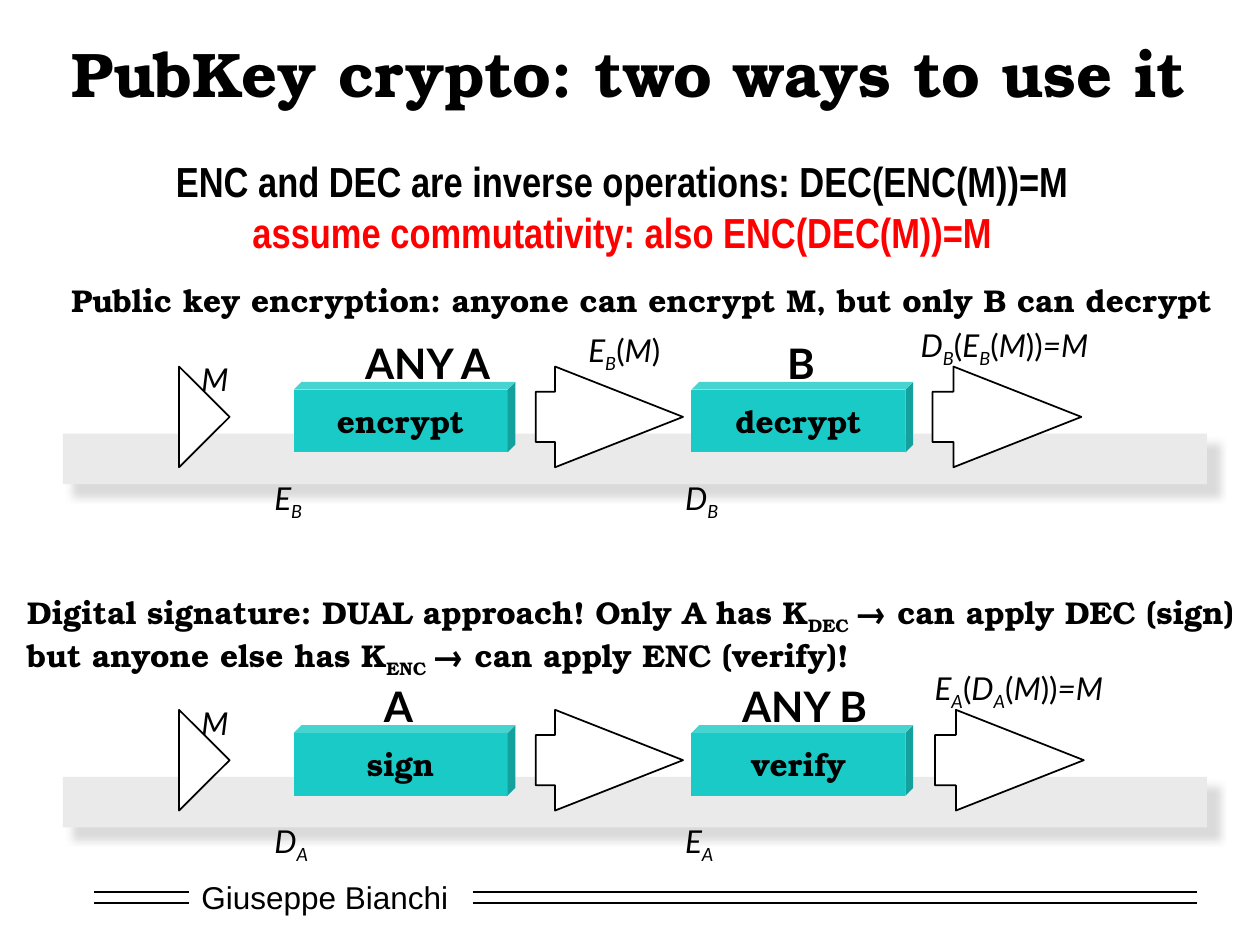
from itertools import groupby

from lxml import etree
from pptx import Presentation
from pptx.dml.color import RGBColor
from pptx.enum import shapes, text
from pptx.oxml import ns
from pptx.util import Cm, Pt

# Text between tildes is subscript.
TITLE = "PubKey crypto: two ways to use it"
SUBTITLE = [
    ("ENC and DEC are inverse operations: DEC(ENC(M))=M", "ink"),
    ("assume commutativity: also ENC(DEC(M))=M", "alert"),
]
AUTHOR = "Giuseppe Bianchi"

# Boxes are (left, top, width, height) in cm; labels are (text, left, width).
FLOWS = [
    {
        "heading": ["Public key encryption: anyone can encrypt M, but only B can decrypt"],
        "heading_box": (1.19, 5.54, 23.55, 1.02),
        "steps": ["encrypt", "decrypt"],
        "actors": [("ANY A", 7.11, 3.12), ("B", 15.62, 1.14)],
        "keys": ["E~B~", "D~B~"],
        "between": "E~B~(M)",
        "result": ("D~B~(E~B~(M))=M", 18.31, 4.27),
        "last_arrow": 18.8,
    },
    {
        "heading": [
            "Digital signature: DUAL approach! Only A has K~DEC ~→ can apply DEC (sign)",
            "but anyone else has K~ENC ~→ can apply ENC (verify)!",
        ],
        "heading_box": (0.3, 11.84, 25.55, 1.78),
        "steps": ["sign", "verify"],
        "actors": [("A", 7.49, 1.12), ("ANY B", 14.71, 3.15)],
        "keys": ["D~A~", "E~A~"],
        "between": None,
        "result": ("E~A~(D~A~(M))=M", 18.59, 4.45),
        "last_arrow": 18.85,
    },
]
FLOW_TOP, FLOW_PITCH = 6.45, 6.92
STEP_LEFTS, KEY_LEFTS = (5.92, 13.94), (5.28, 13.56)
RULE_SPANS, RULE_TOPS = [(1.9, 3.81), (9.53, 24.13)], (17.98, 18.21)

THEME = {
    "ink": RGBColor(0, 0, 0),
    "alert": RGBColor(0xFF, 0, 0),
    "paper": RGBColor(0xFF, 0xFF, 0xFF),
    "bar": RGBColor(0xEA, 0xEA, 0xEA),
    "step": RGBColor(0x1A, 0xCA, 0xC6),
    "shadow": "CECECE",
    "serif": "TeX Gyre Bonum",
    "sans": "Lato",
    "narrow": "Arial Narrow",
    "footer": "Arial",
    "title_size": Pt(36),
    "large": Pt(24),
    "body": Pt(18),
}


def style(p, face, size="body", bold=False, color="ink", align=text.PP_ALIGN.LEFT):
    p.alignment = align
    f = p.font
    f.name, f.size, f.bold = THEME[face], THEME[size], bold
    f.color.rgb = THEME[color]


def add_runs(p, marked, formula=False):
    """Split marked text into runs; a formula has all but its brackets in italics."""
    for i, part in enumerate(marked.split("~")):
        pieces = groupby(part, key=lambda c: c not in "()") if formula else [(False, part)]
        for italic, chars in pieces:
            r = p.add_run()
            r.text = "".join(chars)
            if italic:
                r.font.italic = True
            if i % 2:
                r._r.get_or_add_rPr().set("baseline", "-25000")


def add_label(slide, box, lines, face, formula=False, **look):
    tf = slide.shapes.add_textbox(*map(Cm, box)).text_frame
    tf.word_wrap = False
    for i, line in enumerate(lines):
        p = tf.add_paragraph() if i else tf.paragraphs[0]
        style(p, face, **look)
        add_runs(p, line, formula)


def add_block(slide, kind, box, fill, outlined=False, adjustments=()):
    sp = slide.shapes.add_shape(kind, *map(Cm, box))
    sp.shadow.inherit = False
    sp.fill.solid()
    sp.fill.fore_color.rgb = THEME[fill]
    if outlined:
        sp.line.color.rgb = THEME["ink"]
        sp.line.width = Pt(1)
    else:
        sp.line.fill.background()
    for i, value in enumerate(adjustments):
        sp.adjustments[i] = value
    return sp


def add_bar(slide, top):
    sp = add_block(slide, shapes.MSO_SHAPE.RECTANGLE, (1.27, top, 23.06, 1.02), "bar")
    effects = sp._element.spPr.find(ns.qn("a:effectLst"))
    shadow = etree.SubElement(effects, ns.qn("a:outerShdw"), blurRad=str(Pt(5)),
                              dist=str(Pt(8.5)), dir="2700000", algn="ctr", rotWithShape="0")
    color = etree.SubElement(shadow, ns.qn("a:srgbClr"), val=THEME["shadow"])
    etree.SubElement(color, ns.qn("a:alpha"), val="75000")


def add_step(slide, left, top, label):
    sp = add_block(slide, shapes.MSO_SHAPE.CUBE, (left, top, 4.47, 1.42), "step",
                   adjustments=[0.11])
    tf = sp.text_frame
    tf.vertical_anchor = text.MSO_ANCHOR.MIDDLE
    p = tf.paragraphs[0]
    style(p, "serif", bold=True, align=text.PP_ALIGN.CENTER)
    add_runs(p, label)


def add_flow(slide, flow, top):
    add_bar(slide, top + 2.29)
    for label, left, width in flow["actors"]:
        add_label(slide, (left, top + 0.23, width, 1.28), [label], "sans",
                  size="large", bold=True)
    add_label(slide, flow["heading_box"], flow["heading"], "serif", bold=True)

    result, result_left, result_width = flow["result"]
    formulas = [("M", 3.81, 0.69, 1.04), (result, result_left, 0, result_width)]
    formulas += [(key, left, 3.08, 1.23) for key, left in zip(flow["keys"], KEY_LEFTS)]
    if flow["between"]:
        formulas.append((flow["between"], 11.61, 0.1, 2.18))
    for formula, left, drop, width in formulas:
        add_label(slide, (left, top + drop, width, 1.02), [formula], "sans", formula=True)

    for label, left in zip(flow["steps"], STEP_LEFTS):
        add_step(slide, left, top + 1.25, label)
    for left, width, head in [(3.61, 1.02, 1.25), (10.8, 2.97, 1.27),
                              (flow["last_arrow"], 3, 1.27)]:
        add_block(slide, shapes.MSO_SHAPE.RIGHT_ARROW, (left, top + 0.94, width, 2.03),
                  "paper", outlined=True, adjustments=[0.5, head])


def add_footer(slide):
    add_label(slide, (3.81, 17.58, 5.51, 1.02), [AUTHOR], "footer")
    for top in RULE_TOPS:
        for start, end in RULE_SPANS:
            rule = slide.shapes.add_connector(shapes.MSO_CONNECTOR.STRAIGHT,
                                              Cm(start), Cm(top), Cm(end), Cm(top))
            rule.line.color.rgb = THEME["ink"]
            rule.line.width = Pt(1)
            etree.SubElement(rule._element.spPr, ns.qn("a:effectLst"))


def add_title(slide):
    sp = slide.shapes.title
    sp.left, sp.top, sp.width, sp.height = map(Cm, (0.61, 0, 24.13, 2.9))
    tf = sp.text_frame
    tf.vertical_anchor = text.MSO_ANCHOR.MIDDLE
    tf.auto_size = text.MSO_AUTO_SIZE.NONE
    p = tf.paragraphs[0]
    style(p, "serif", "title_size", bold=True, align=text.PP_ALIGN.CENTER)
    add_runs(p, TITLE)


def add_subtitle(slide):
    tf = slide.shapes.add_textbox(*map(Cm, (3.2, 3.02, 18.69, 2.31))).text_frame
    tf.word_wrap = False
    for i, (line, color) in enumerate(SUBTITLE):
        p = tf.add_paragraph() if i else tf.paragraphs[0]
        style(p, "narrow", "large", bold=True, color=color, align=text.PP_ALIGN.CENTER)
        add_runs(p, line)


def main():
    prs = Presentation()
    prs.slide_width, prs.slide_height = Cm(25.4), Cm(19.05)
    slide = prs.slides.add_slide(prs.slide_layouts[5])
    add_title(slide)
    add_footer(slide)
    for i, flow in enumerate(FLOWS):
        add_flow(slide, flow, FLOW_TOP + i * FLOW_PITCH)
    add_subtitle(slide)
    prs.save("out.pptx")


if __name__ == "__main__":
    main()
